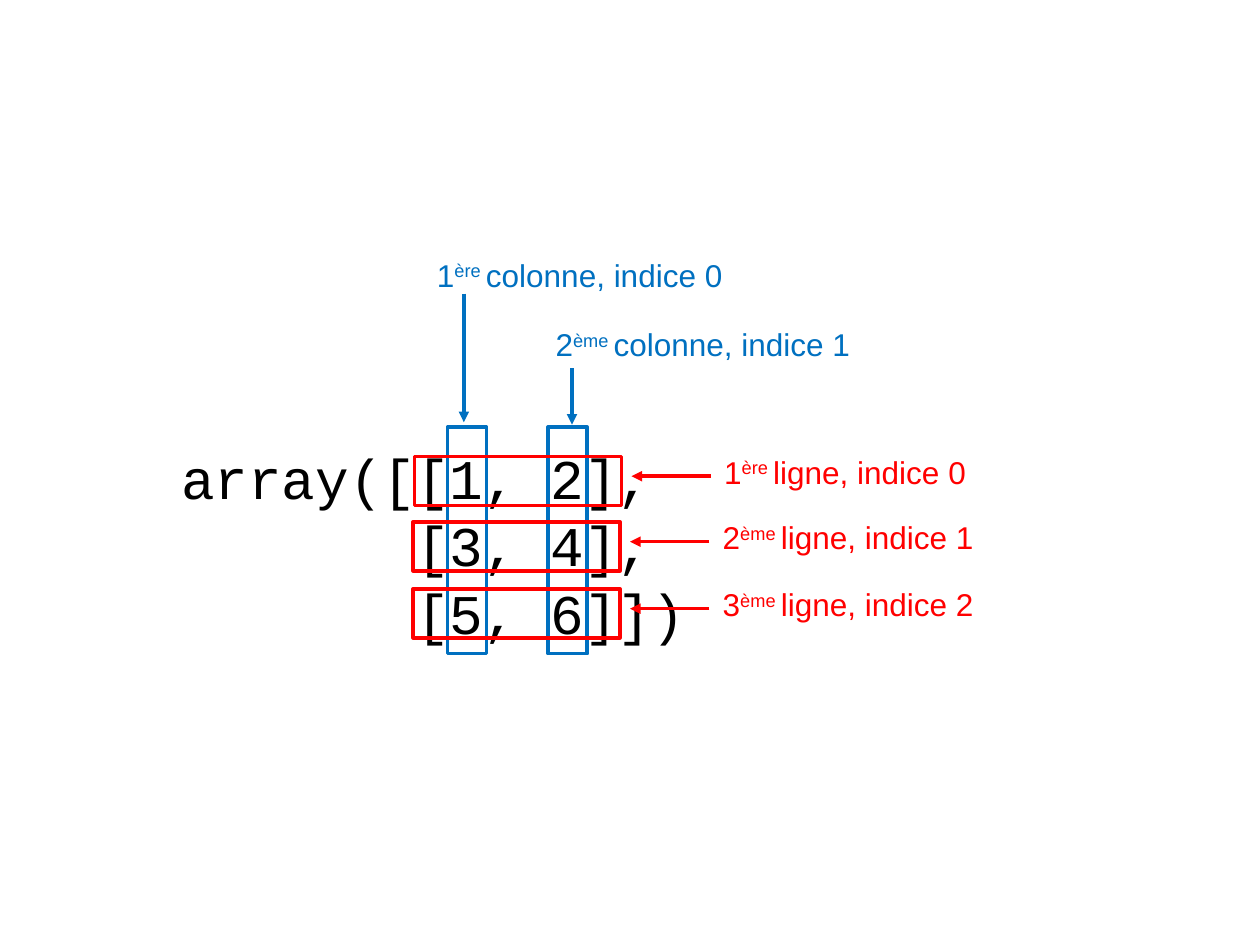
import dataclasses

import pptx
import pptx.dml.color
import pptx.enum.shapes
import pptx.enum.text
import pptx.oxml
import pptx.oxml.ns
import pptx.slide
import pptx.text.text
import pptx.util

Cm = pptx.util.Cm
Pt = pptx.util.Pt

COLOURS = {"column": "0070C0", "row": "FF0000", "code": "000000"}
CODE_FONT = {"name": "Courier New", "size": Pt(32)}
LABEL_FONT = {"name": "Arial", "size": Pt(18)}
CODE_LINES = [("array([[1, 2],", 0), ("[3, 4],", 7), ("[5, 6]])", 7)]
CHARACTER_WIDTH = Pt(32 * 0.6)


@dataclasses.dataclass
class Marker:
    """A framed row or column with its label and arrow, in centimetres."""
    kind: str
    frame: tuple[float, float, float, float]
    label: tuple[float, float, float]
    arrow: tuple[float, float, float, float]
    ordinal: tuple[str, str]
    index: int


def colour(key: str) -> pptx.dml.color.RGBColor:
    """Return the named colour."""
    return pptx.dml.color.RGBColor.from_string(COLOURS[key])


def add_run(paragraph: pptx.text.text._Paragraph, text: str, font: dict,
            colour_key: str, raised: bool = False) -> None:
    """Append a formatted run, raised as a superscript if asked."""
    run = paragraph.add_run()
    run.text = text
    for attribute, value in font.items():
        setattr(run.font, attribute, value)
    run.font.color.rgb = colour(colour_key)
    if raised:
        run.font._element.set("baseline", "30000")


def add_text_frame(slide: pptx.slide.Slide, left: float, top: float,
                   width: float, height: float) -> pptx.text.text.TextFrame:
    """Add a wrapping text box and return its text frame."""
    box = slide.shapes.add_textbox(Cm(left), Cm(top), Cm(width), Cm(height))
    box.text_frame.word_wrap = True
    return box.text_frame


def add_code(slide: pptx.slide.Slide) -> None:
    """Write the array, its later lines indented by whole characters."""
    text_frame = add_text_frame(slide, 3.4, 8.79, 11.91, 4.37)
    text_frame.vertical_anchor = pptx.enum.text.MSO_ANCHOR.MIDDLE
    for number, (text, indent) in enumerate(CODE_LINES):
        paragraph = text_frame.add_paragraph() if number else text_frame.paragraphs[0]
        properties = paragraph._p.get_or_add_pPr()
        properties.set("marL", str(indent * CHARACTER_WIDTH))
        properties.set("indent", "0")
        add_run(paragraph, text, CODE_FONT, "code")


def add_marker(slide: pptx.slide.Slide, marker: Marker) -> None:
    """Draw the frame, label and arrow of one row or column."""
    frame = slide.shapes.add_shape(
        pptx.enum.shapes.MSO_SHAPE.RECTANGLE, *map(Cm, marker.frame))
    frame.shadow.inherit = False
    frame.fill.background()

    paragraph = add_text_frame(slide, *marker.label, 1.02).paragraphs[0]
    number, suffix = marker.ordinal
    noun = {"column": "colonne", "row": "ligne"}[marker.kind]
    add_run(paragraph, number, LABEL_FONT, marker.kind)
    add_run(paragraph, suffix + " ", LABEL_FONT, marker.kind, raised=True)
    add_run(paragraph, f"{noun}, indice {marker.index}", LABEL_FONT, marker.kind)

    arrow = slide.shapes.add_connector(
        pptx.enum.shapes.MSO_CONNECTOR.STRAIGHT, *map(Cm, marker.arrow))
    for outlined in (frame, arrow):
        outlined.line.color.rgb = colour(marker.kind)
        outlined.line.width = Pt(2)
    namespace = pptx.oxml.ns.nsdecls("a")
    arrow.line._get_or_add_ln().append(
        pptx.oxml.parse_xml(f'<a:tailEnd {namespace} type="triangle"/>'))
    arrow._element.spPr.append(pptx.oxml.parse_xml(f"<a:effectLst {namespace}/>"))


def column_marker(index: int, left: float, label: tuple[float, float, float],
                  arrow_x: float, arrow_end: float) -> Marker:
    """Place a column marker, its arrow pointing down from the label."""
    arrow_start = label[1] + (0.89, 2.39 - 1.4)[index]
    return Marker("column", (left, 8.61, 0.79, 4.57), label,
                  (arrow_x, arrow_start, arrow_x, arrow_end), ORDINALS[index], index)


def row_marker(index: int, left: float, top: float) -> Marker:
    """Place a row marker, its label and arrow set relative to the frame."""
    arrow_y = top + 0.4
    return Marker("row", (left, top, 4.17, 0.99), (left + 5.99, top - 0.2, 6.76),
                  (left + 5.97, arrow_y, left + 4.37, arrow_y), ORDINALS[index], index)


ORDINALS = [("1", "ère"), ("2", "ème"), ("3", "ème")]
MARKERS = [
    column_marker(0, 9.02, (8.56, 5.03, 6.76), 9.35, 8.51),
    column_marker(1, 11.05, (10.95, 6.43, 7.75), 11.53, 8.56),
    row_marker(0, 8.36, 9.2),
    row_marker(1, 8.33, 10.52),
    row_marker(2, 8.33, 11.87),
]


def main() -> None:
    """Build and save the slide."""
    presentation = pptx.Presentation()
    presentation.slide_width, presentation.slide_height = Cm(25.4), Cm(19.05)
    slide = presentation.slides.add_slide(presentation.slide_layouts[6])
    add_code(slide)
    for marker in MARKERS:
        add_marker(slide, marker)
    presentation.save("out.pptx")


main()
